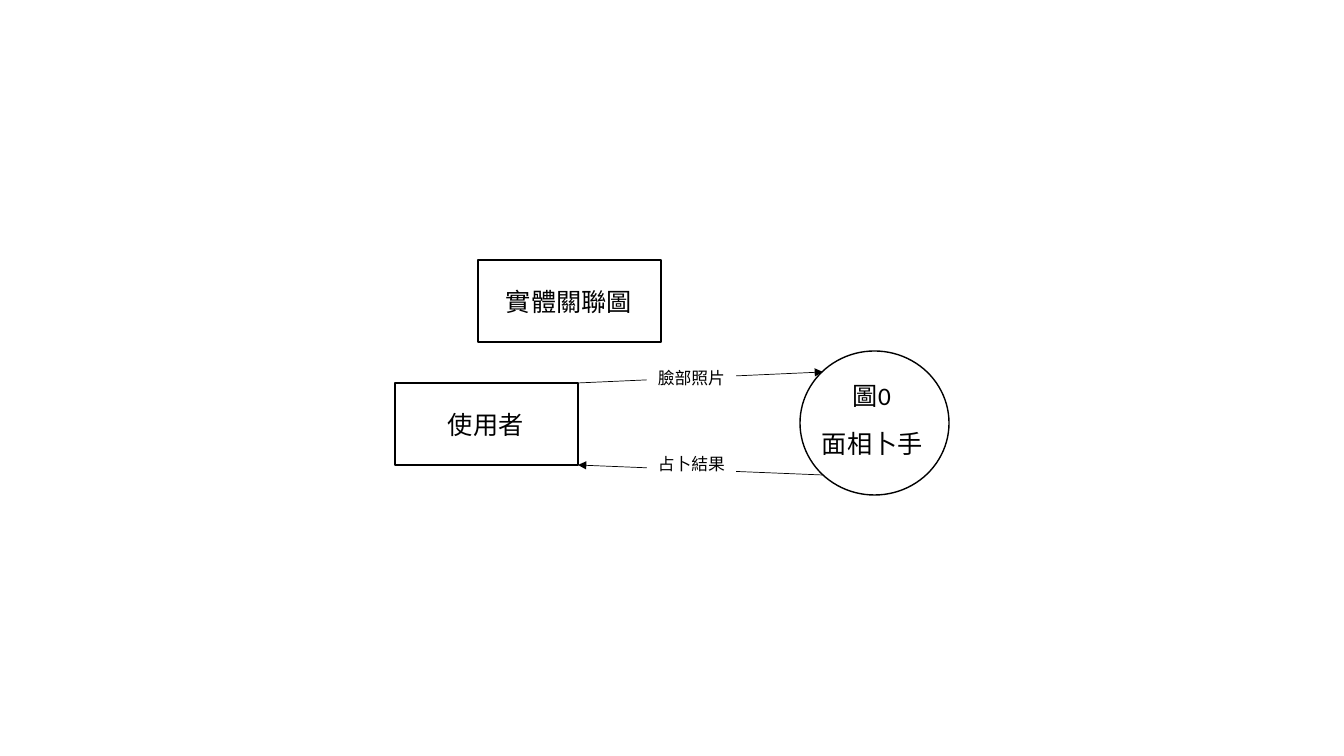
from lxml.etree import SubElement
from pptx import Presentation
from pptx.dml.color import RGBColor
from pptx.enum.shapes import MSO_CONNECTOR as LINK, MSO_SHAPE as KIND
from pptx.enum.text import MSO_ANCHOR as ANCHOR, PP_ALIGN as ALIGN
from pptx.oxml.ns import qn
from pptx.util import Pt

PX = 914400 / 100.8
BLACK = RGBColor(0, 0, 0)
WHITE = RGBColor(255, 255, 255)
BOX_W, BOX_H = 183, 82
TEXT_H = 40


def emu(*sizes):
    return [round(size * PX) for size in sizes]


def style(shape, text, size):
    frame = shape.text_frame
    frame.text = text
    frame.word_wrap = False
    font = frame.paragraphs[0].runs[0].font
    font.size, font.name = Pt(size), "Calibri"
    font.color.rgb = BLACK


def add_text(parts, text, x, y, w):
    style(parts.add_textbox(*emu(x, y, w, TEXT_H)), text, 18)


def add_frame(parts, kind, box):
    shape = parts.add_shape(kind, *emu(*box))
    shape.shadow.inherit = False
    shape.fill.background()
    shape.line.color.rgb = BLACK
    shape.line.width = Pt(1)


# Rectangle with its caption
def add_box(parts, text, x, y, dx, w):
    add_frame(parts, KIND.RECTANGLE, (x, y, BOX_W, BOX_H))
    add_text(parts, text, x + dx, y + 21, w)


# Process circle with number and name
def add_circle(parts, x, y):
    add_frame(parts, KIND.OVAL, (x, y, 149, 144))
    add_text(parts, "圖0", x + 43, y + 24, 64)
    add_text(parts, "面相卜手", x + 12, y + 72, 125)


# Data flow: arrow under a white label
def add_flow(parts, text, start, end, top):
    line = parts.add_connector(LINK.STRAIGHT, *emu(*start, *end))
    line.line.color.rgb = BLACK
    line.line.width = Pt(0.5)
    SubElement(line.line._get_or_add_ln(), qn("a:tailEnd"), type="triangle")
    SubElement(line._element.spPr, qn("a:effectLst"))

    label = parts.add_shape(KIND.RECTANGLE, *emu(647, top, 89, 30))
    label.shadow.inherit = False
    label.fill.solid()
    label.fill.fore_color.rgb = WHITE
    label.line.fill.background()
    style(label, text, 12)
    label.text_frame.vertical_anchor = ANCHOR.TOP
    label.text_frame.paragraphs[0].alignment = ALIGN.CENTER


# Context diagram
def add_chart(slide, x, y):
    parts = slide.shapes.add_group_shape().shapes
    right, near = x + BOX_W, x + 428
    add_box(parts, "使用者", x, y, 43, 97)
    add_circle(parts, x + 405, y - 32)
    add_flow(parts, "占卜結果", (near, y + 92), (right, y + BOX_H), y + 66)
    add_flow(parts, "臉部照片", (right, y), (near, y - 11), y - 20)
    add_box(parts, "實體關聯圖", x + 83, y - 123, 18, 149)


deck = Presentation()
deck.slide_width, deck.slide_height = emu(1344, 756)
add_chart(deck.slides.add_slide(deck.slide_layouts[6]), 395, 383)
deck.save("out.pptx")
